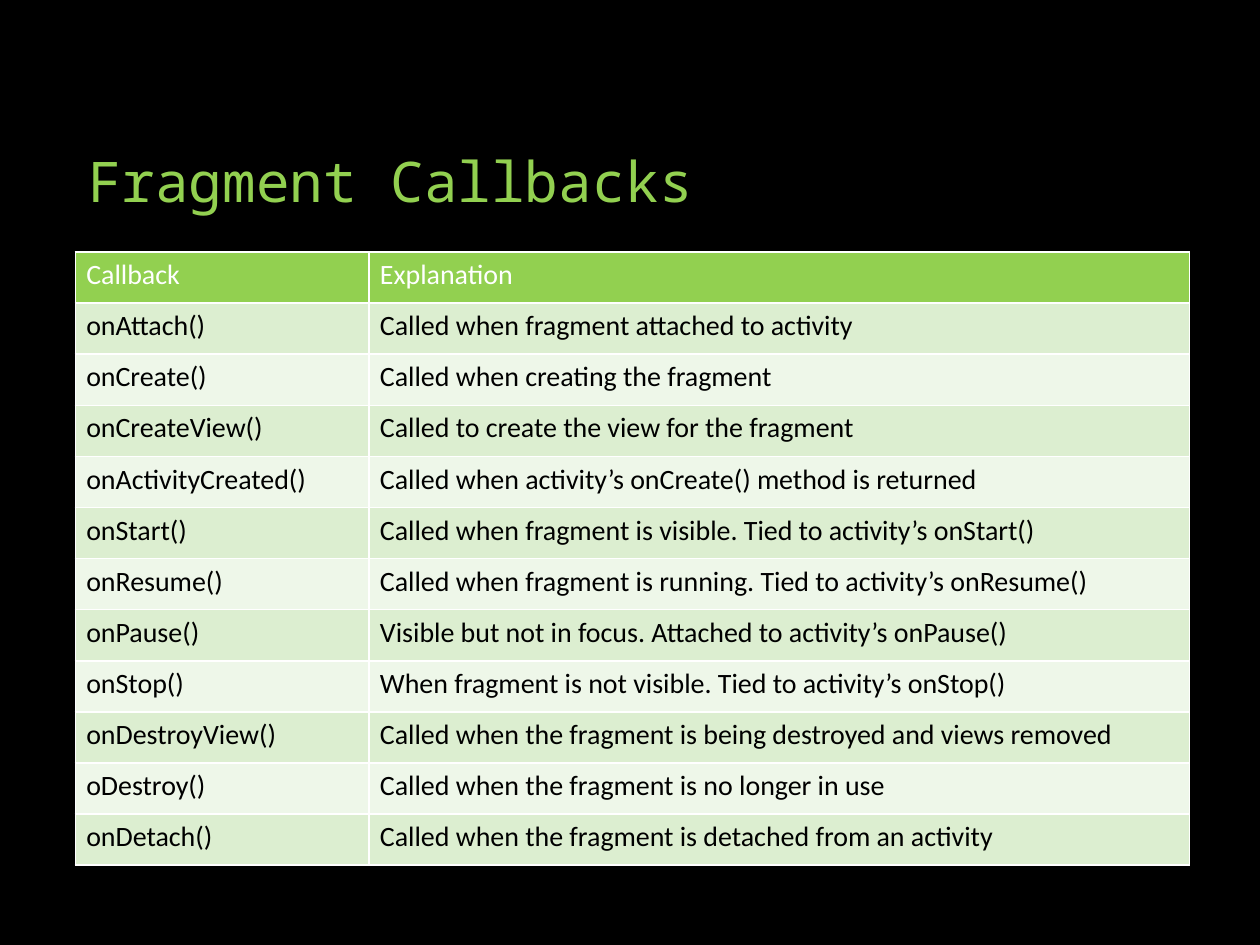
from dataclasses import dataclass

from lxml import etree
from pptx import Presentation
from pptx.dml.color import RGBColor
from pptx.enum.text import MSO_ANCHOR, PP_ALIGN
from pptx.oxml.ns import qn
from pptx.util import Cm, Pt

BOTTOM = MSO_ANCHOR.BOTTOM
LEFT = PP_ALIGN.LEFT

BLACK, WHITE, GREEN = "000000", "FFFFFF", "92D050"
BANDS = ("DCEED0", "EEF7E9")
COLUMN_WIDTHS = (Cm(5.92), Cm(16.54))
ROW_HEIGHT = Cm(1.03)


@dataclass
class Callback:
    name: str
    explanation: str


HEADER = Callback("Callback", "Explanation")
CALLBACKS = [
    Callback("onAttach()", "Called when fragment attached to activity"),
    Callback("onCreate()", "Called when creating the fragment"),
    Callback("onCreateView()", "Called to create the view for the fragment"),
    Callback("onActivityCreated()", "Called when activity’s onCreate() method is returned"),
    Callback("onStart()", "Called when fragment is visible. Tied to activity’s onStart()"),
    Callback("onResume()", "Called when fragment is running. Tied to activity’s onResume()"),
    Callback("onPause()", "Visible but not in focus. Attached to activity’s onPause()"),
    Callback("onStop()", "When fragment is not visible. Tied to activity’s onStop()"),
    Callback("onDestroyView()", "Called when the fragment is being destroyed and views removed"),
    Callback("oDestroy()", "Called when the fragment is no longer in use"),
    Callback("onDetach()", "Called when the fragment is detached from an activity"),
]


def color(value: str) -> RGBColor:
    return RGBColor.from_string(value)


def style_paragraph(paragraph, font_name: str, size: int, font_color: str) -> None:
    paragraph.alignment = LEFT
    paragraph.font.name = font_name
    paragraph.font.size = Pt(size)
    paragraph.font.bold = False
    paragraph.font.color.rgb = color(font_color)


def add_borders(cell) -> None:
    properties = cell._tc.get_or_add_tcPr()
    for side in ("lnL", "lnR", "lnT", "lnB"):
        line = etree.SubElement(properties, qn(f"a:{side}"), w=str(Pt(1)))
        fill = etree.SubElement(line, qn("a:solidFill"))
        etree.SubElement(fill, qn("a:srgbClr"), val=WHITE)


def fill_row(table, index: int, callback: Callback) -> None:
    is_header = index == 0
    for column, text in enumerate((callback.name, callback.explanation)):
        cell = table.cell(index, column)
        cell.margin_left = cell.margin_right = Cm(0.22)
        cell.margin_top = cell.margin_bottom = Cm(0.12)
        # Borders must come before the fill in the cell properties
        add_borders(cell)
        cell.fill.solid()
        cell.fill.fore_color.rgb = color(GREEN if is_header else BANDS[(index - 1) % 2])
        cell.text = text
        style_paragraph(cell.text_frame.paragraphs[0], "Calibri", 16,
                        WHITE if is_header else BLACK)


def add_title(slide, text: str) -> None:
    title = slide.shapes.title
    title.left, title.top, title.width, title.height = Cm(1.52), Cm(1.27), Cm(20.7), Cm(3.18)
    title.text = text
    title.text_frame.vertical_anchor = BOTTOM
    paragraph = title.text_frame.paragraphs[0]
    paragraph.line_spacing = 0.9
    style_paragraph(paragraph, "Noto Sans Mono", 32, GREEN)


def add_callback_table(slide) -> None:
    rows = [HEADER, *CALLBACKS]
    table = slide.shapes.add_table(
        len(rows), len(COLUMN_WIDTHS), Cm(1.52), Cm(5.08),
        sum(COLUMN_WIDTHS), ROW_HEIGHT * len(rows)).table
    for column, width in zip(table.columns, COLUMN_WIDTHS):
        column.width = width
    for index, callback in enumerate(rows):
        table.rows[index].height = ROW_HEIGHT
        fill_row(table, index, callback)


def main() -> None:
    presentation = Presentation()
    presentation.slide_width, presentation.slide_height = Cm(25.4), Cm(19.05)
    # Title Only layout on a black background
    slide = presentation.slides.add_slide(presentation.slide_layouts[5])
    slide.background.fill.solid()
    slide.background.fill.fore_color.rgb = color(BLACK)

    add_title(slide, "Fragment Callbacks")
    add_callback_table(slide)
    presentation.save("out.pptx")


if __name__ == "__main__":
    main()
